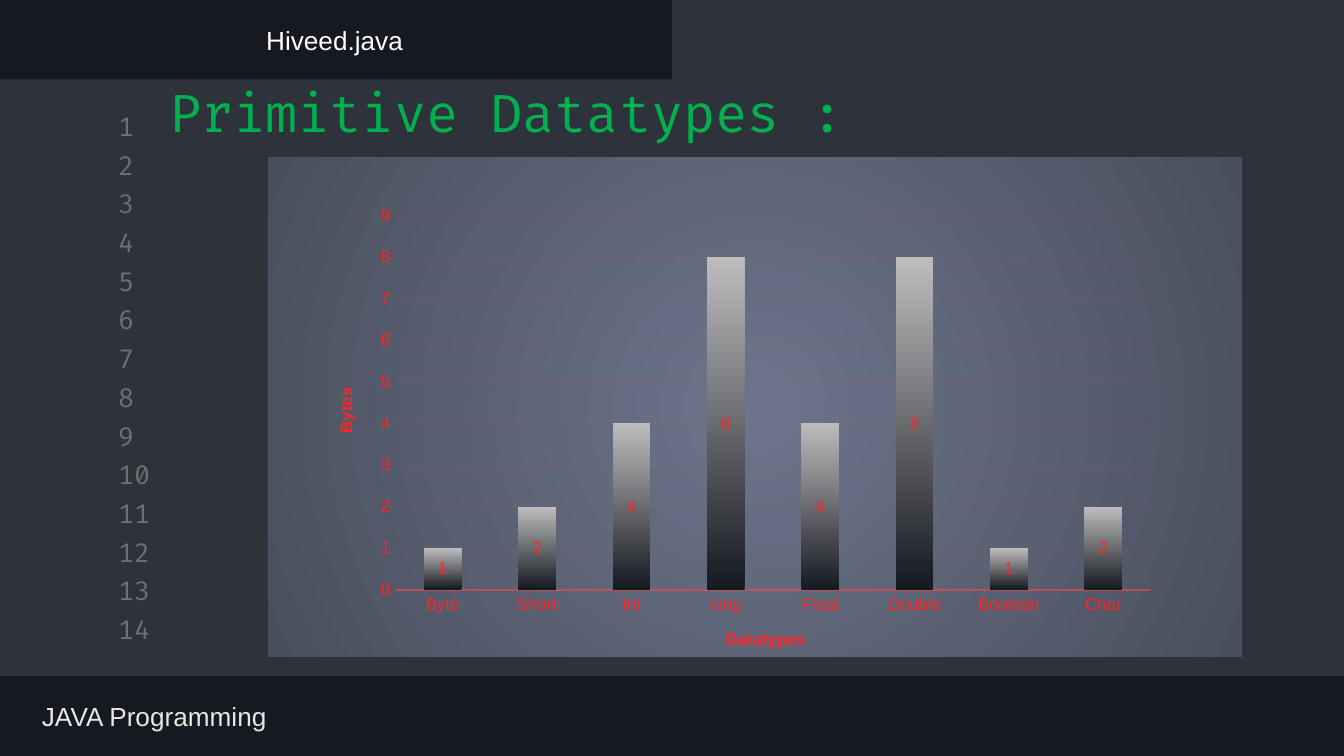
import dataclasses

import lxml.etree
import pptx
import pptx.chart.data
import pptx.dml.color
import pptx.enum.chart
import pptx.enum.shapes
import pptx.enum.text
import pptx.oxml
import pptx.oxml.ns
import pptx.util

Pt = pptx.util.Pt
RGBColor = pptx.dml.color.RGBColor
qn = pptx.oxml.ns.qn


@dataclasses.dataclass(frozen=True)
class Theme:
    background: str = "16191F"
    panel: str = "2E323B"
    line_number: str = "707070"
    tab: str = "FFFFFF"
    footer: str = "E7E7E7"
    title: str = "00B050"
    chart_text: str = "FF2525"
    chart_line: str = "FF4747"
    chart_center: str = "6C758B"
    chart_edge: str = "494F5D"
    bar_bottom: str = "151920"
    bar_top: str = "BDBDBE"
    body_font: str = "Arial"
    code_font: str = "Fira Code"
    title_size: int = 28
    body_size: int = 14
    chart_size: int = 9


theme = Theme()
presentation = pptx.Presentation()
presentation.slide_width = Pt(720)
presentation.slide_height = Pt(405)
slide = presentation.slides.add_slide(presentation.slide_layouts[6])
slide.background.fill.solid()
slide.background.fill.fore_color.rgb = RGBColor.from_string(theme.background)


def add_text(text, left, top, width, height, size, font, color, align="LEFT", anchor="MIDDLE"):
    shape = slide.shapes.add_textbox(Pt(left), Pt(top), Pt(width), Pt(height))
    frame = shape.text_frame
    frame.word_wrap = True
    frame.vertical_anchor = pptx.enum.text.MSO_ANCHOR[anchor]
    frame.margin_left = frame.margin_right = Pt(7.2)
    frame.margin_top = frame.margin_bottom = Pt(7.2)
    paragraph = frame.paragraphs[0]
    paragraph.alignment = pptx.enum.text.PP_ALIGN[align]
    run = paragraph.add_run()
    run.text = text
    run.font.size = Pt(size)
    run.font.name = font
    run.font.color.rgb = RGBColor.from_string(color)


def shape_properties(start, end, direction):
    return pptx.oxml.parse_xml(
        f'<c:spPr {pptx.oxml.ns.nsdecls("c", "a")}><a:gradFill><a:gsLst>'
        f'<a:gs pos="0"><a:srgbClr val="{start}"/></a:gs>'
        f'<a:gs pos="100000"><a:srgbClr val="{end}"/></a:gs>'
        f"</a:gsLst>{direction}</a:gradFill><a:ln><a:noFill/></a:ln></c:spPr>"
    )


for left, top, width, height in ((0, 42.5, 720, 319.7), (360, 0, 360, 46.8)):
    panel = slide.shapes.add_shape(
        pptx.enum.shapes.MSO_SHAPE.RECTANGLE, Pt(left), Pt(top), Pt(width), Pt(height)
    )
    panel.shadow.inherit = False
    panel.fill.solid()
    panel.fill.fore_color.rgb = RGBColor.from_string(theme.panel)
    panel.line.fill.background()

for index in range(14):
    add_text(str(index + 1), 56.2, 58.9 + 20.73 * index, 33.8, 17.3,
             theme.body_size, theme.code_font, theme.line_number)

add_text("Hiveed.java", -0.7, 7.2, 360, 28.1,
         theme.body_size, theme.body_font, theme.tab, align="CENTER")
add_text("JAVA Programming", 15.4, 369.4, 379, 28.1,
         theme.body_size, theme.body_font, theme.footer)
add_text("Primitive Datatypes :", 83.5, 36, 573.8, 42.5,
         theme.title_size, theme.code_font, theme.title, anchor="TOP")

chart_data = pptx.chart.data.CategoryChartData()
chart_data.categories = ["Byte", "Short", "Int", "long", "Float", "Double", "Boolean", "Char"]
chart_data.add_series("Series 1", (1, 2, 4, 8, 4, 8, 1, 2))
chart = slide.shapes.add_chart(
    pptx.enum.chart.XL_CHART_TYPE.COLUMN_STACKED,
    Pt(143.5), Pt(84.2), Pt(522), Pt(267.8), chart_data,
).chart
chart.has_title = False
chart.has_legend = False
chart.font.size = Pt(theme.chart_size)
chart.font.name = theme.body_font
chart.font.color.rgb = RGBColor.from_string(theme.chart_text)

circle = '<a:path path="circle"><a:fillToRect l="50000" t="50000" r="50000" b="50000"/></a:path>'
chart_element = chart.element.find(qn("c:chart"))
chart_element.addnext(shape_properties(theme.chart_center, theme.chart_edge, circle))

plot_area = chart_element.find(qn("c:plotArea"))
for layout in plot_area.findall(qn("c:layout")):
    plot_area.remove(layout)
layout = pptx.oxml.parse_xml(f'<c:layout {pptx.oxml.ns.nsdecls("c")}><c:manualLayout/></c:layout>')
plot_area.insert(0, layout)
for name, value in (
    ("layoutTarget", "inner"), ("xMode", "edge"), ("yMode", "edge"),
    ("x", "0.131"), ("y", "0.117"), ("w", "0.775"), ("h", "0.749"),
):
    lxml.etree.SubElement(layout[0], qn(f"c:{name}")).set("val", value)

plot = chart.plots[0]
plot.gap_width = 150
plot.overlap = 100
plot.vary_by_categories = False
plot.has_data_labels = True
labels = plot.data_labels
labels.show_value = True
labels.position = pptx.enum.chart.XL_LABEL_POSITION.CENTER
labels.font.size = Pt(theme.chart_size)
labels.font.name = theme.body_font
labels.font.color.rgb = RGBColor.from_string(theme.chart_text)

series = plot.series[0]
series.format.fill.background()
bar_properties = series._element.find(qn("c:spPr"))
upward = '<a:lin ang="16200000" scaled="0"/>'
series._element.replace(
    bar_properties, shape_properties(theme.bar_bottom, theme.bar_top, upward)
)

category_axis, value_axis = chart.category_axis, chart.value_axis
value_axis.minimum_scale = 0
value_axis.maximum_scale = 9
value_axis.major_unit = 1
value_axis.has_major_gridlines = True
for axis, title in ((category_axis, "Datatypes"), (value_axis, "Bytes")):
    axis.major_tick_mark = axis.minor_tick_mark = pptx.enum.chart.XL_TICK_MARK.NONE
    axis.tick_labels.font.size = Pt(theme.chart_size)
    axis.tick_labels.font.name = theme.body_font
    axis.tick_labels.font.color.rgb = RGBColor.from_string(theme.chart_text)
    run = axis.axis_title.text_frame.paragraphs[0].add_run()
    run.text = title
    run.font.size = Pt(theme.chart_size)
    run.font.name = theme.body_font
    run.font.bold = True
    run.font.color.rgb = RGBColor.from_string(theme.chart_text)

value_axis.format.line.fill.background()
for line, width in ((category_axis.format.line, 1), (value_axis.major_gridlines.format.line, 0.75)):
    line.width = Pt(width)
    line.color.rgb = RGBColor.from_string(theme.chart_line)
for axis, route, opacity in (
    (category_axis, "c:spPr/a:ln//a:srgbClr", 54),
    (value_axis, "c:majorGridlines//a:srgbClr", 10),
):
    color = axis._element.xpath(route)[0]
    lxml.etree.SubElement(color, qn("a:alpha")).set("val", str(opacity * 1000))

presentation.save("out.pptx")
